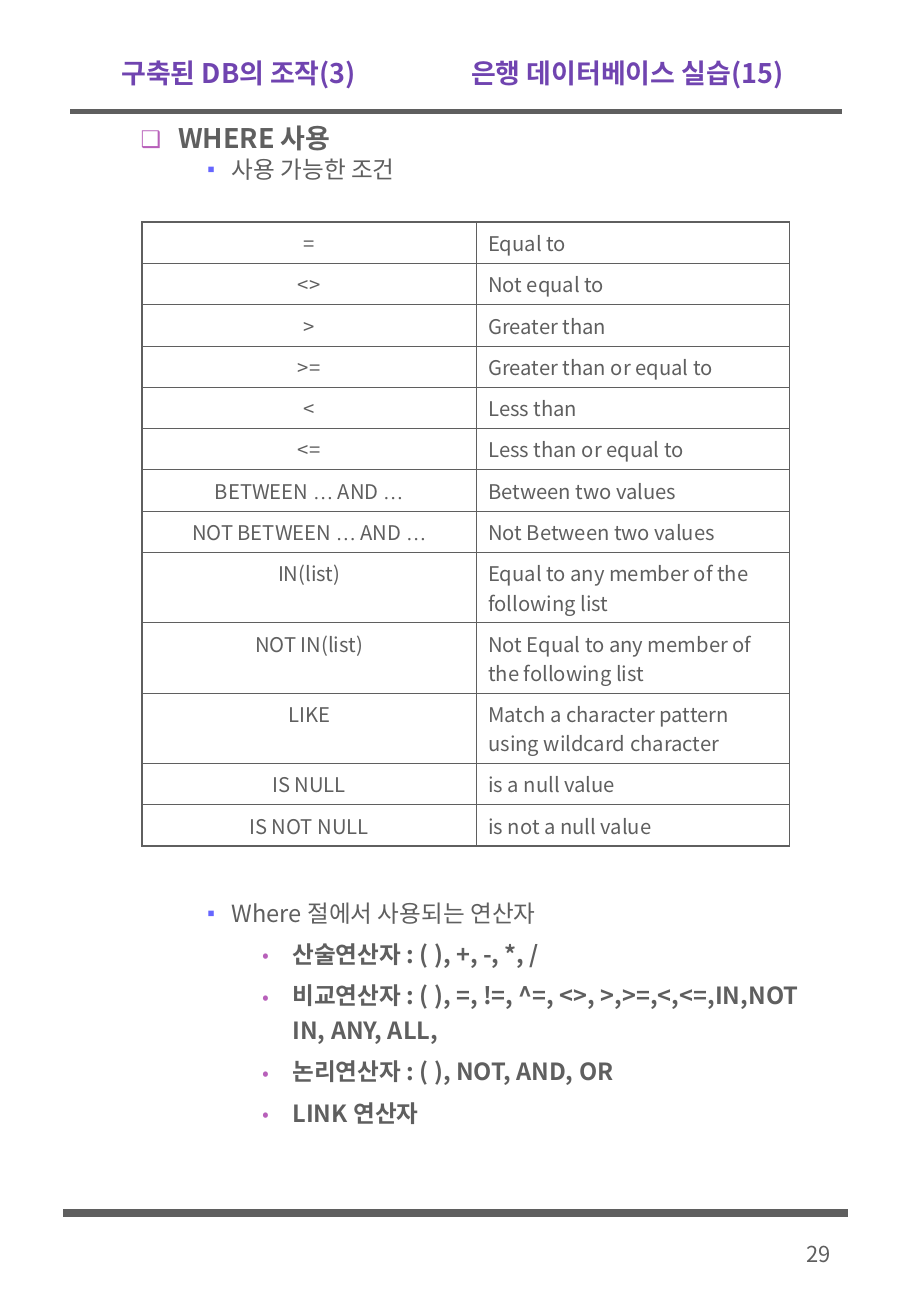
"""Build a slide on the conditions and operators of the WHERE clause."""
from dataclasses import dataclass
from itertools import groupby

from lxml import etree
from pptx import Presentation
from pptx import util as u
from pptx.dml.color import RGBColor
from pptx.enum import shapes, text
from pptx.oxml import ns


@dataclass(frozen=True)
class Theme:
    """Fonts, colours and type sizes."""
    font: str = "Noto Sans CJK KR"
    ellipsis_font: str = "Times New Roman"
    ink: str = "5F5F5F"
    title: str = "7044B0"
    accent: str = "B860BA"
    marker: str = "6666FF"
    heading_size: int = 16
    item_size: int = 14
    number_size: int = 13
    cell_size: int = 12
    outer_line: float = 1.08
    inner_line: float = 0.45


THEME = Theme()


@dataclass(frozen=True)
class Level:
    """Look of one outline level."""
    bullet: str
    color: str
    left: float
    hang: float
    size: int
    bold: bool


HEADING = Level("❑", THEME.accent, 0.81, 0.31, THEME.heading_size, True)
ITEM = Level("▪", THEME.marker, 1.25, 0.25, THEME.item_size, False)
SUBITEM = Level("•", THEME.accent, 1.75, 0.25, THEME.item_size, True)


@dataclass(frozen=True)
class Outline:
    """A block of bulleted paragraphs."""
    top: float
    height: float
    spacing: float
    before: float
    lines: tuple[tuple[Level, str], ...]


@dataclass(frozen=True)
class Rule:
    """A horizontal line across the page."""
    left: float
    right: float
    y: float
    width: float


@dataclass(frozen=True)
class Condition:
    """A table row: operator, meaning and row height."""
    operator: str
    meaning: str
    height: float = 0.34


RULES = (Rule(0.58, 6.93, 0.92, 3), Rule(0.52, 6.98, 9.99, 4.5))
OUTLINES = (
    Outline(1, 0.7, 0.82, 3.5, (
        (HEADING, "WHERE 사용"),
        (ITEM, "사용 가능한 조건"))),
    Outline(7.3, 2.5, 1.23, 3.8, (
        (ITEM, "Where 절에서 사용되는 연산자"),
        (SUBITEM, "산술연산자 : ( ), +, -, *, /"),
        (SUBITEM, "비교연산자 : ( ), =, !=, ^=, <>, >,>=,<,<=,IN,NOT IN, ANY, ALL,"),
        (SUBITEM, "논리연산자 : ( ), NOT, AND, OR"),
        (SUBITEM, "LINK 연산자"))),
)
COLUMNS = (2.75, 2.58)
CONDITIONS = (
    Condition("=", "Equal to"),
    Condition("<>", "Not equal to"),
    Condition(">", "Greater than"),
    Condition(">=", "Greater than or equal to"),
    Condition("<", "Less than"),
    Condition("<=", "Less than or equal to"),
    Condition("BETWEEN … AND …", "Between two values"),
    Condition("NOT BETWEEN … AND …", "Not Between two values"),
    Condition("IN(list)", "Equal to any member of the following list", 0.58),
    Condition("NOT IN(list)", "Not Equal to any member of the following list", 0.58),
    Condition("LIKE", "Match a character pattern using wildcard character", 0.58),
    Condition("IS NULL", "is a null value"),
    Condition("IS NOT NULL", "is not a null value"),
)


def add_xml(parent, tag: str, **attrs: str):
    """Append a DrawingML element."""
    return etree.SubElement(parent, ns.qn(tag), attrs)


def write(p, content: str, *, size: float, color: str = THEME.ink, bold: bool = False,
          align=text.PP_ALIGN.LEFT) -> None:
    """Write formatted text into a paragraph."""
    p.alignment = align
    for is_ellipsis, chars in groupby(content, lambda c: c == "…"):
        r = p.add_run()
        r.text = "".join(chars)
        name = THEME.ellipsis_font if is_ellipsis else THEME.font
        r.font.name, r.font.size, r.font.bold = name, u.Pt(size), bold
        r.font.color.rgb = RGBColor.from_string(color)
        add_xml(r.font._element, "a:ea", typeface=name)


def add_box(s, left: float, top: float, width: float, height: float):
    """Add a wrapping text box and return its text frame."""
    sp = s.shapes.add_textbox(*map(u.Inches, (left, top, width, height)))
    sp.text_frame.word_wrap = True
    return sp.text_frame


def add_rule(s, rule: Rule) -> None:
    """Draw a horizontal rule."""
    ends = map(u.Inches, (rule.left, rule.y, rule.right, rule.y))
    sp = s.shapes.add_connector(shapes.MSO_CONNECTOR.STRAIGHT, *ends)
    sp.line.color.rgb = RGBColor.from_string(THEME.ink)
    sp.line.width = u.Pt(rule.width)
    add_xml(sp._element.spPr, "a:effectLst")


def add_title(s, left_part: str, right_part: str) -> None:
    """Write the two-part title, parted by a tab stop."""
    tf = add_box(s, 0.58, 0.33, 6.37, 0.54)
    tf.margin_left = u.Inches(0.42)
    tf.vertical_anchor = text.MSO_ANCHOR.MIDDLE
    p = tf.paragraphs[0]
    tabs = add_xml(p._p.get_or_add_pPr(), "a:tabLst")
    add_xml(tabs, "a:tab", pos=str(u.Inches(2.88)), algn="l")
    write(p, f"{left_part}\t{right_part}", size=THEME.heading_size,
          color=THEME.title, bold=True)


def add_outline(s, outline: Outline) -> None:
    """Write a bulleted outline."""
    tf = add_box(s, 0.56, outline.top, 6.37, outline.height)
    for i, (level, content) in enumerate(outline.lines):
        p = tf.add_paragraph() if i else tf.paragraphs[0]
        pPr = p._p.get_or_add_pPr()
        pPr.set("marL", str(u.Inches(level.left)))
        pPr.set("indent", str(-u.Inches(level.hang)))
        add_xml(add_xml(pPr, "a:buClr"), "a:srgbClr", val=level.color)
        add_xml(pPr, "a:buSzPct", val="85000")
        add_xml(pPr, "a:buFont", typeface=THEME.font)
        add_xml(pPr, "a:buChar", char=level.bullet)
        p.line_spacing = outline.spacing
        if i:
            p.space_before = u.Pt(outline.before)
        write(p, content, size=level.size, bold=level.bold)


def add_borders(cell, outer: dict[str, bool]) -> None:
    """Draw the cell borders, heavier on the outer sides."""
    for side, is_outer in outer.items():
        width = THEME.outer_line if is_outer else THEME.inner_line
        ln = add_xml(cell._tc.get_or_add_tcPr(), f"a:ln{side}", w=str(u.Pt(width)))
        add_xml(add_xml(ln, "a:solidFill"), "a:srgbClr", val=THEME.ink)


def add_conditions(s) -> None:
    """Add the table of conditions."""
    height = sum(c.height for c in CONDITIONS)
    frame = s.shapes.add_table(len(CONDITIONS), len(COLUMNS), u.Inches(1.17),
                               u.Inches(1.83), u.Inches(sum(COLUMNS)), u.Inches(height))
    table = frame.table
    table.first_row = table.horz_banding = False
    for column, width in zip(table.columns, COLUMNS):
        column.width = u.Inches(width)
    for i, condition in enumerate(CONDITIONS):
        table.rows[i].height = u.Inches(condition.height)
        entries = ((condition.operator, text.PP_ALIGN.CENTER),
                   (condition.meaning, text.PP_ALIGN.LEFT))
        for j, (content, align) in enumerate(entries):
            cell = table.cell(i, j)
            write(cell.text_frame.paragraphs[0], content, size=THEME.cell_size, align=align)
            add_borders(cell, {"L": j == 0, "R": j == len(COLUMNS) - 1,
                               "T": i == 0, "B": i == len(CONDITIONS) - 1})
            cell.fill.background()


def main() -> None:
    """Build and save the slide."""
    prs = Presentation()
    prs.slide_width, prs.slide_height = u.Inches(7.5), u.Inches(10.84)
    s = prs.slides.add_slide(prs.slide_layouts[6])
    for rule in RULES:
        add_rule(s, rule)
    write(add_box(s, 5.92, 10.17, 1.02, 0.34).paragraphs[0], "29",
          size=THEME.number_size, align=text.PP_ALIGN.RIGHT)
    add_title(s, "구축된 DB의 조작(3)", "은행 데이터베이스 실습(15)")
    for outline in OUTLINES:
        add_outline(s, outline)
    add_conditions(s)
    prs.save("out.pptx")


if __name__ == "__main__":
    main()
